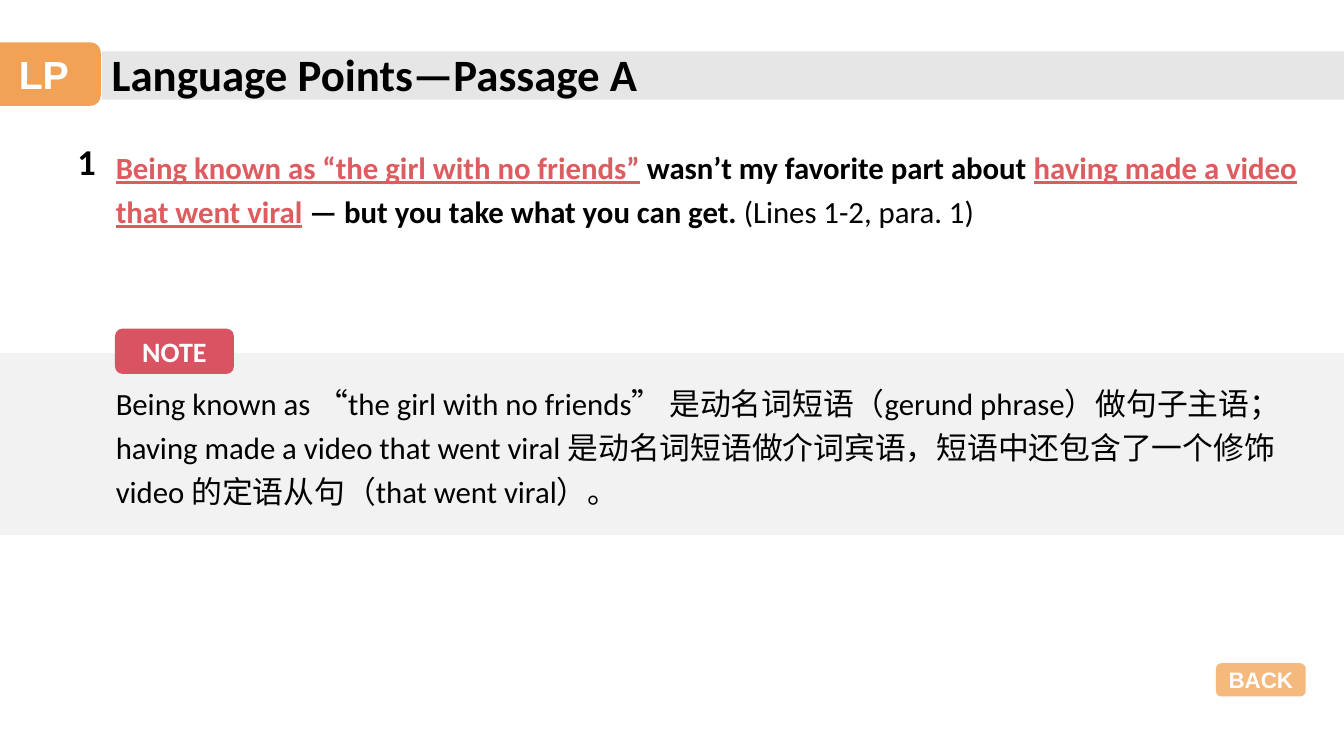
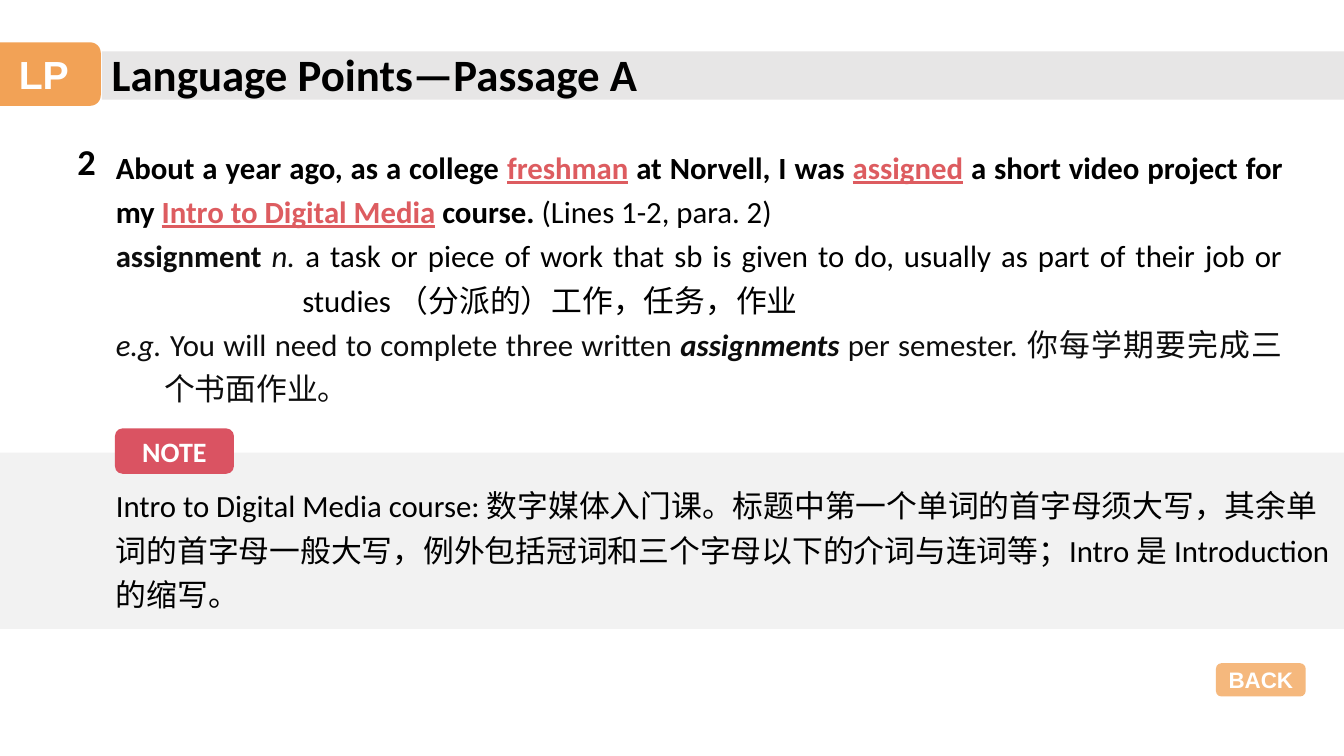
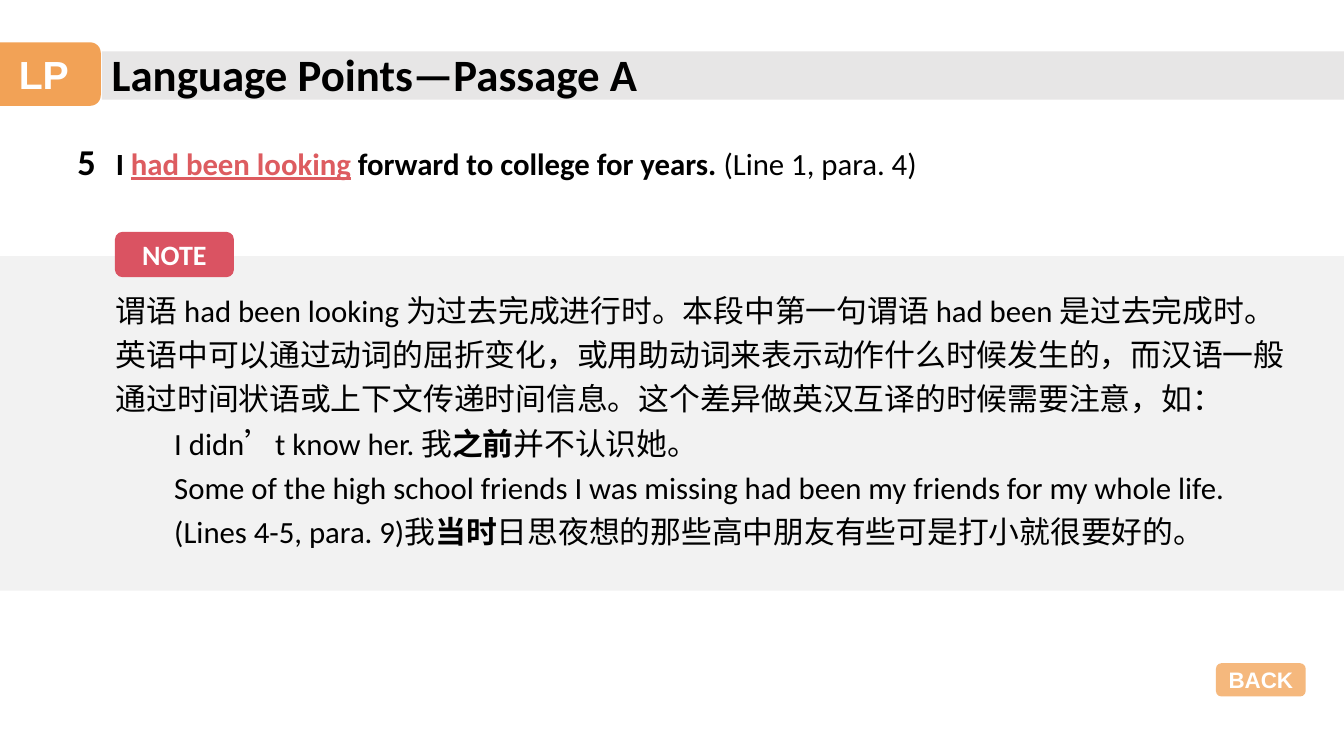
from dataclasses import dataclass

from lxml import etree
from pptx import Presentation, util as u
from pptx.dml.color import RGBColor
from pptx.enum import shapes, text
from pptx.oxml.ns import qn


@dataclass(frozen=True)
class Theme:
    ink: str = "000000"
    soft: str = "0D0D0D"
    key: str = "DD5C60"
    tag: str = "DA5362"
    warm: str = "F19B48"
    bar: str = "E7E6E6"
    pale: str = "F2F2F2"
    white: str = "FFFFFF"
    face: str = "Calibri"
    badge: str = "Arial"
    han: str = "Noto Sans CJK SC"
    title: int = 32
    logo: int = 28
    num: int = 26
    body: int = 22
    note: int = 20
    back: int = 16


T = Theme()
WIDE, HIGH = 13.33, 7.5
EDGE, LEFT, PAD = 1.01, 1.05, 0.1
LEAD = 1.2
TITLE = "Language Points—Passage A"
LEFT_AL, JUST = text.PP_ALIGN.LEFT, text.PP_ALIGN.JUSTIFY

# A run is (words, marks): b bold, i italic, k key phrase, d softer ink.
# A paragraph is (left margin, first-line indent, runs).
PAGES = [
    dict(
        num="1", top=1.35, width=12.07, align=LEFT_AL, lead=LEAD,
        body=[(0, 0, [
            ("Being known as “the girl with no friends”", "k"),
            (" wasn’t my favorite part about ", "b"),
            ("having made a video that went viral", "k"),
            (" — but you take what you can get. ", "b"),
            ("(Lines 1-2, para. 1)", "")])],
        band=(3.5, 1.81), drop=0.19, span=11.84,
        note=[
            (0, 0, [("Being known as “the girl with no friends” 是动名词短语（gerund phrase）做句子主语；", "")]),
            (0, 0, [("having made a video that went viral 是动名词短语做介词宾语，短语中还包含了一个修饰", "")]),
            (0, 0, [("video 的定语从句（that went viral）。", "")])]),
    dict(
        num="2", top=1.35, width=11.77, align=JUST, lead=LEAD,
        body=[
            (0, 0, [
                ("About a year ago, as a college ", "b"), ("freshman", "k"),
                (" at Norvell, I was ", "b"), ("assigned", "k"),
                (" a short video project for my ", "b"),
                ("Intro to Digital Media", "k"), (" course. ", "b"),
                ("(Lines 1-2, para. 2) ", "")]),
            (1.85, -1.85, [
                ("assignment ", "bd"), ("n. ", "id"),
                ("a task or piece of work that sb is given to do, usually as part of their job or studies ", ""),
                ("（分派的）工作，任务，作业 ", "")]),
            (0.48, -0.48, [
                ("e.g. ", "id"), ("You will need to complete three written ", "d"),
                ("assignments", "bid"), (" per semester. ", "d"),
                ("你每学期要完成三个书面作业。", "d")])],
        band=(4.49, 1.75), drop=0.22, span=12.29,
        note=[(0, 0, [(
            "Intro to Digital Media course: 数字媒体入门课。标题中第一个单词的首字母须大写，"
            "其余单词的首字母一般大写，例外包括冠词和三个字母以下的介词与连词等；"
            "Intro 是 Introduction的缩写。", "")])]),
    dict(
        num="5", top=1.39, width=11.77, align=JUST, lead=1.0,
        body=[(0, 0, [
            ("I ", "b"), ("had been looking", "k"),
            (" forward to college for years. ", "b"), ("(Line 1, para. 4) ", "")])],
        band=(2.54, 3.32), drop=0.23, span=11.84,
        note=[
            (0, 0, [(
                "谓语 had been looking 为过去完成进行时。本段中第一句谓语 had been 是过去完成时。"
                "英语中可以通过动词的屈折变化，或用助动词来表示动作什么时候发生的，"
                "而汉语一般通过时间状语或上下文传递时间信息。"
                "这个差异做英汉互译的时候需要注意，如：", "")]),
            (0, 0.58, [("I didn’t know her. 我", ""), ("之前", "b"), ("并不认识她。", "")]),
            (0.58, 0, [
                ("Some of the high school friends I was missing had been my friends for my whole life. "
                 "(Lines 4-5, para. 9)我", ""),
                ("当时", "b"), ("日思夜想的那些高中朋友有些可是打小就很要好的。", "")])]),
]


def style(run, size, color, face=T.face, bold=True):
    font = run.font
    font.size, font.name, font.bold = u.Pt(size), face, bold
    font.color.rgb = RGBColor.from_string(color)
    etree.SubElement(font._element, qn("a:ea"), typeface=T.han)


def block(slide, box, color, words="", size=0, face=T.face, alpha=100):
    """Draw a plain bar, or a rounded badge when there are words."""
    kind = shapes.MSO_SHAPE
    form = slide.shapes.add_shape(
        kind.ROUNDED_RECTANGLE if words else kind.RECTANGLE, *map(u.Inches, box))
    form.shadow.inherit = False
    form.line.fill.background()
    form.fill.solid()
    form.fill.fore_color.rgb = RGBColor.from_string(color)
    if alpha < 100:
        tone = form.fill._xPr.find(".//" + qn("a:srgbClr"))
        etree.SubElement(tone, qn("a:alpha"), val=str(alpha * 1000))
    if words:
        frame = form.text_frame
        frame.text, frame.word_wrap = words, False
        frame.vertical_anchor = text.MSO_ANCHOR.MIDDLE
        para = frame.paragraphs[0]
        para.alignment = text.PP_ALIGN.CENTER
        style(para.runs[0], size, T.white, face)


def area(slide, box):
    frame = slide.shapes.add_textbox(*map(u.Inches, box)).text_frame
    frame.word_wrap = True
    frame.auto_size = text.MSO_AUTO_SIZE.SHAPE_TO_FIT_TEXT
    return frame


def label(slide, box, words, size):
    frame = area(slide, box)
    frame.text = words
    style(frame.paragraphs[0].runs[0], size, T.ink)


def prose(slide, box, paras, align=LEFT_AL, lead=LEAD):
    frame = area(slide, box)
    for n, (margin, indent, runs) in enumerate(paras):
        para = frame.add_paragraph() if n else frame.paragraphs[0]
        para.alignment, para.line_spacing = align, lead
        props = para._p.get_or_add_pPr()
        props.set("marL", str(u.Inches(margin)))
        props.set("indent", str(u.Inches(indent)))
        for words, marks in runs:
            run = para.add_run()
            run.text = words
            key = "k" in marks
            color = T.key if key else T.soft if "d" in marks else T.ink
            style(run, T.body, color, bold=key or "b" in marks)
            run.font.italic, run.font.underline = "i" in marks, key


def header(slide):
    block(slide, (EDGE, 0.51, WIDE - EDGE, 0.48), T.bar)
    block(slide, (-0.13, 0.42, 1.13, 0.63), T.warm, "LP", T.logo, T.badge, 92)
    label(slide, (EDGE, 0.41, 5.69, 0.64), TITLE, T.title)


def build(slide, page):
    header(slide)
    label(slide, (0.67, 1.33, 0.47, 0.54), page["num"], T.num)
    top, tall = page["band"]
    block(slide, (0, top, WIDE, tall), T.pale)
    prose(slide, (LEFT, page["top"], page["width"], 0.5),
          page["body"], page["align"], page["lead"])
    block(slide, (LEFT + PAD - 0.01, top - 0.24, 1.18, 0.45), T.tag, "NOTE", T.note)
    prose(slide, (LEFT, top + page["drop"], page["span"], 1.4), page["note"])
    block(slide, (12.06, 6.58, 0.89, 0.33), T.warm, "BACK", T.back, T.badge, 71)


def main():
    deck = Presentation()
    deck.slide_width, deck.slide_height = u.Inches(WIDE), u.Inches(HIGH)
    for page in PAGES:
        build(deck.slides.add_slide(deck.slide_layouts[6]), page)
    deck.save("out.pptx")


if __name__ == "__main__":
    main()
